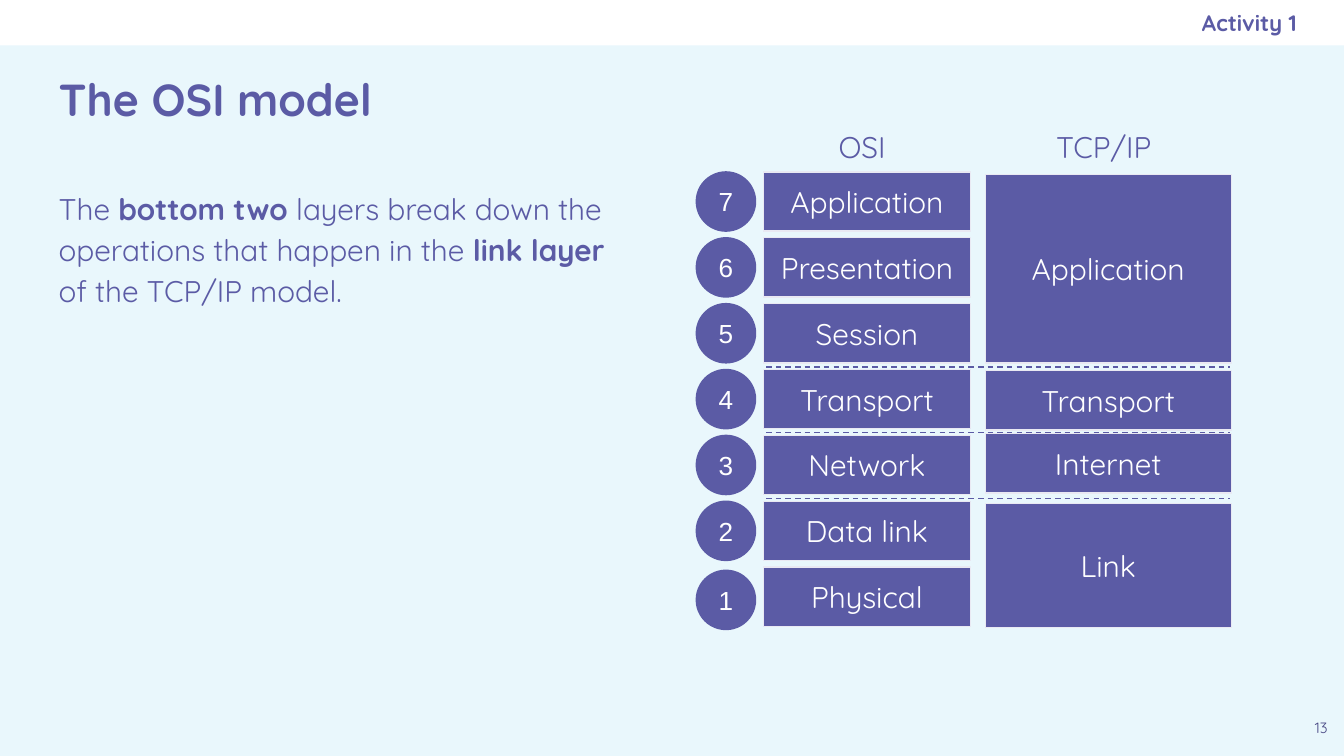
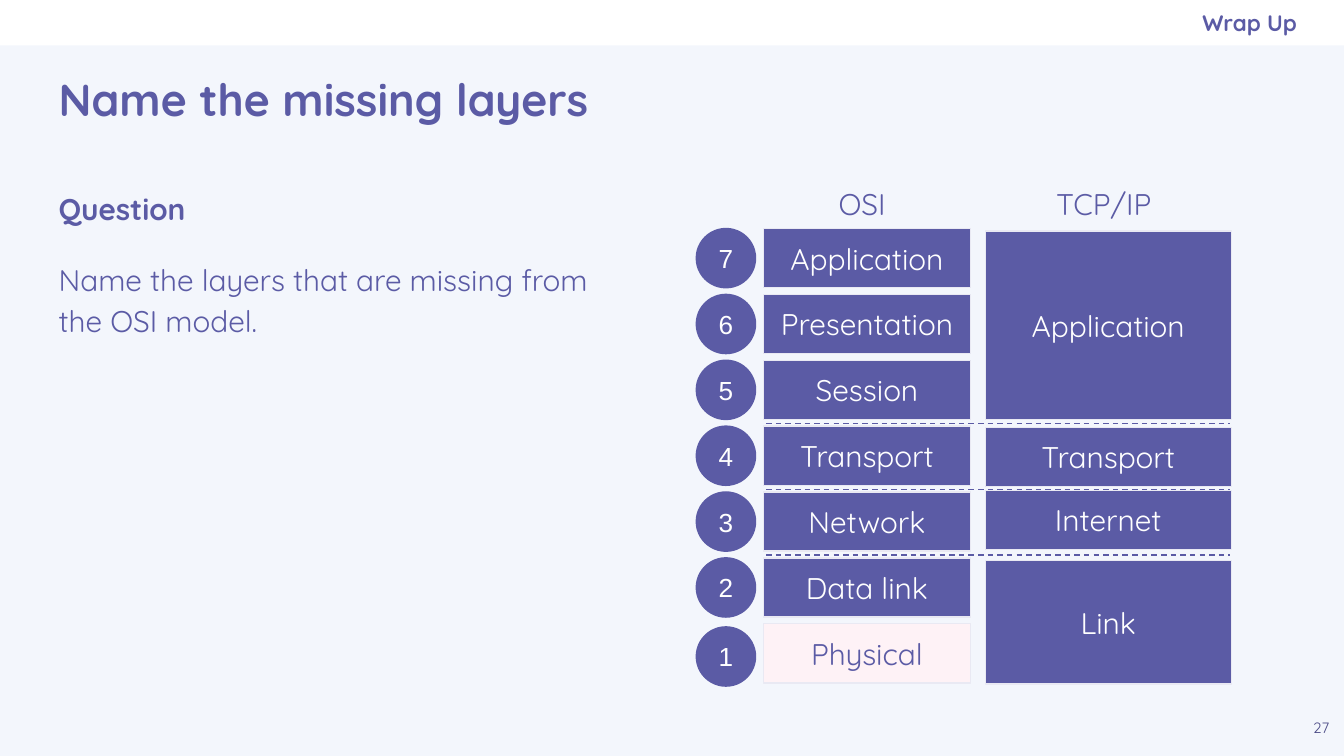
from lxml import etree
from pptx import Presentation
from pptx.dml.color import RGBColor
from pptx.enum.dml import MSO_LINE
from pptx.enum.shapes import MSO_CONNECTOR, MSO_SHAPE
from pptx.enum.text import MSO_ANCHOR, PP_ALIGN
from pptx.oxml.ns import qn
from pptx.util import Cm, Pt

RECT, OVAL = MSO_SHAPE.RECTANGLE, MSO_SHAPE.OVAL
STRAIGHT, DASH = MSO_CONNECTOR.STRAIGHT, MSO_LINE.DASH
TOP, MIDDLE = MSO_ANCHOR.TOP, MSO_ANCHOR.MIDDLE
LEFT, CENTER, RIGHT = PP_ALIGN.LEFT, PP_ALIGN.CENTER, PP_ALIGN.RIGHT

PURPLE = RGBColor(0x5B, 0x5B, 0xA5)
DARK = RGBColor(0x49, 0x49, 0x85)
PALE = RGBColor(0xE9, 0xE9, 0xF3)
PINK = RGBColor(0xFE, 0xF2, 0xF6)
WHITE = RGBColor(0xFF, 0xFF, 0xFF)
SKY = RGBColor(0xE9, 0xF7, 0xFC)
MIST = RGBColor(0xF3, 0xF6, 0xFC)
FONT, NUMBER_FONT = "Quicksand", "Arial"

# Content: body paragraphs are lists of (text, bold)
SLIDES = [
    dict(bg=SKY, section="Activity 1", title="The OSI model", number="13",
         body=[[("The ", False), ("bottom two", True),
                (" layers break down the operations that happen in the ", False),
                ("link layer", True), (" of the TCP/IP model. ", False)]],
         stack_top=3.25, highlight=None),
    dict(bg=MIST, section="Wrap Up", title="Name the missing layers", number="27",
         body=[[("Question", True)],
               [("Name the layers that are missing from the OSI model. ", False)]],
         stack_top=4.32, highlight="Physical"),
]
OSI = ["Application", "Presentation", "Session", "Transport",
       "Network", "Data link", "Physical"]
# TCP/IP layers: name, offset from the top of the stack, height
TCP = [("Application", 0.05, 3.56), ("Transport", 3.76, 1.12),
       ("Internet", 4.95, 1.12), ("Link", 6.27, 2.34)]
HEADINGS = [("OSI", 15.6, 1.7), ("TCP/IP", 19.71, 2.44)]
DIVIDED_AFTER = [3, 4, 5]

# Geometry in cm
W, H = 25.4, 14.29
BAND = 0.86
BOX = 1.12
PITCH = 7.47 / (len(OSI) - 1)
CIRCLE_X, OSI_X, TCP_X = 13.16, 14.43, 18.62
OSI_W, TCP_W = 3.91, 4.65
LINE_X1, LINE_X2 = 14.48, 23.24


def write(shape, paragraphs, size, color=PURPLE, align=LEFT, anchor=TOP, font=FONT,
          spacing=None, after=0, right_inset=0.25):
    tf = shape.text_frame
    tf.word_wrap = True
    tf.vertical_anchor = anchor
    tf.margin_left = tf.margin_top = tf.margin_bottom = Cm(0.25)
    tf.margin_right = Cm(right_inset)
    for i, runs in enumerate(paragraphs):
        p = tf.add_paragraph() if i else tf.paragraphs[0]
        p.alignment = align
        if spacing:
            p.line_spacing = spacing
        p.space_after = Pt(after)
        for text, bold in runs:
            r = p.add_run()
            r.text = text
            r.font.name, r.font.size, r.font.bold = font, Pt(size), bold
            r.font.color.rgb = color


def add_text(s, x, y, w, h, paragraphs, size, **style):
    write(s.shapes.add_textbox(Cm(x), Cm(y), Cm(w), Cm(h)), paragraphs, size, **style)


def add_block(s, kind, x, y, w, h, fill, line=None):
    sp = s.shapes.add_shape(kind, Cm(x), Cm(y), Cm(w), Cm(h))
    sp.shadow.inherit = False
    sp.fill.solid()
    sp.fill.fore_color.rgb = fill
    if line is None:
        sp.line.fill.background()
    else:
        sp.line.color.rgb = line
        sp.line.width = Pt(0.75)
    return sp


def add_layer(s, name, x, y, w, h, fill=PURPLE, color=WHITE):
    sp = add_block(s, RECT, x, y, w, h, fill, PALE)
    write(sp, [[(name, False)]], 16, color=color, align=CENTER, anchor=MIDDLE)


def add_divider(s, y):
    line = s.shapes.add_connector(STRAIGHT, Cm(LINE_X1), Cm(y), Cm(LINE_X2), Cm(y))
    line.line.color.rgb = PURPLE
    line.line.width = Pt(0.75)
    line.line.dash_style = DASH
    etree.SubElement(line._element.spPr, qn("a:effectLst"))


def add_frame(s, c):
    """Background, top band, title, body and page number."""
    s.background.fill.solid()
    s.background.fill.fore_color.rgb = c["bg"]
    add_block(s, RECT, 0, 0, W, BAND, WHITE)
    add_text(s, 0.86, 3.25, 11.38, 10.16, c["body"], 16, spacing=1.15, after=16)
    add_text(s, 0.86, 0.89, 23.67, 1.93, [[(c["title"], True)]], 24, anchor=MIDDLE)
    add_text(s, W - BAND, 13.41, BAND, BAND, [[(c["number"], False)]], 8,
             color=DARK, align=CENTER)
    add_text(s, 14.6, 0, 9.91, BAND, [[(c["section"], True)]], 12,
             align=RIGHT, anchor=MIDDLE, right_inset=0)


def add_models(s, top, highlight):
    """OSI stack with numbers beside the TCP/IP stack."""
    for i, name in enumerate(OSI):
        y = top + i * PITCH
        colors = (PINK, PURPLE) if name == highlight else (PURPLE, WHITE)
        add_layer(s, name, OSI_X, y, OSI_W, BOX, *colors)
        number = len(OSI) - i
        nudge = 0.06 if number == 1 else 0
        sp = add_block(s, OVAL, CIRCLE_X, y + nudge, BOX, BOX, PURPLE, PURPLE)
        write(sp, [[(str(number), False)]], 14, color=WHITE, align=CENTER,
              anchor=MIDDLE, font=NUMBER_FONT)
    for name, x, w in HEADINGS:
        add_text(s, x, top - 1.17, w, 1.19, [[(name, False)]], 16,
                 spacing=1.15, after=16)
    for count in DIVIDED_AFTER:
        add_divider(s, top + count * PITCH - 0.05)
    for name, offset, h in TCP:
        add_layer(s, name, TCP_X, top + offset, TCP_W, h)


prs = Presentation()
prs.slide_width, prs.slide_height = Cm(W), Cm(H)
for content in SLIDES:
    s = prs.slides.add_slide(prs.slide_layouts[6])
    add_frame(s, content)
    add_models(s, content["stack_top"], content["highlight"])
prs.save("out.pptx")
